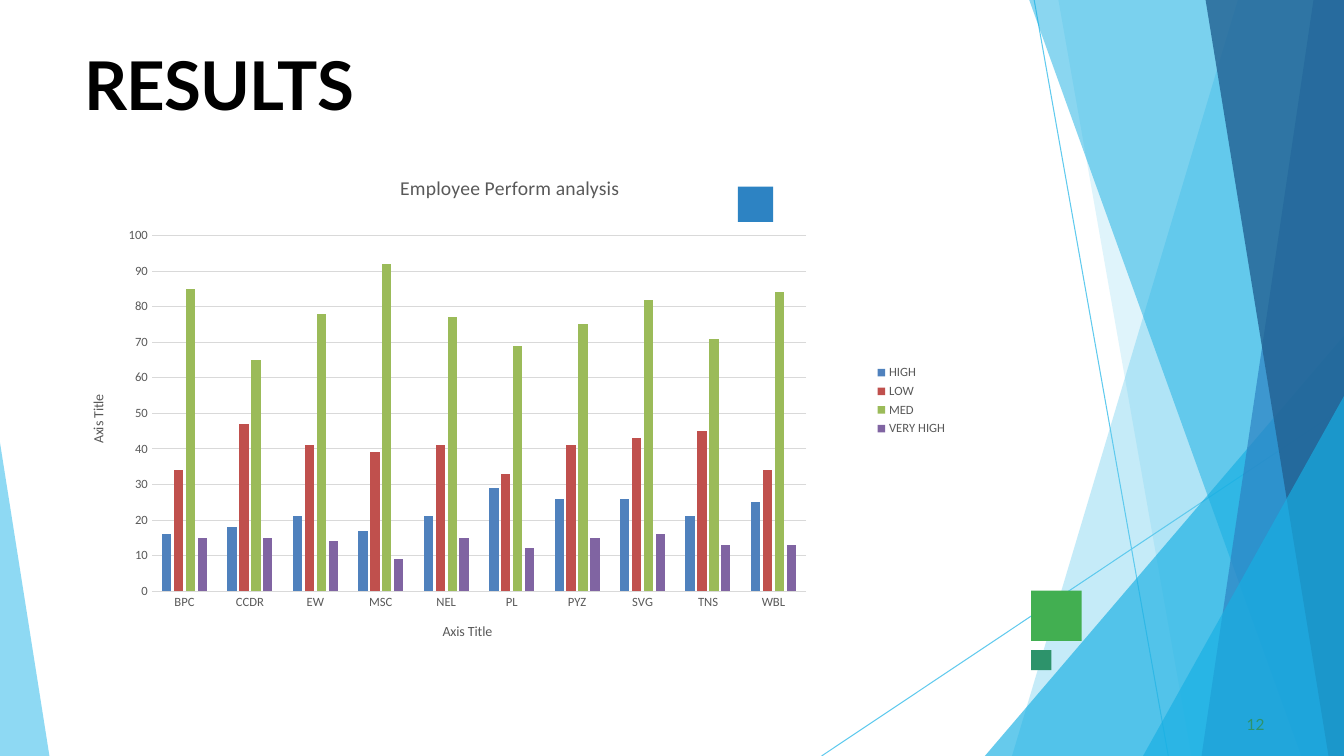
"""Build the results slide: a clustered column chart beside layered blue facets."""
import pptx
import pptx.chart.data
import pptx.dml.color
import pptx.enum.chart
import pptx.enum.text
import pptx.oxml
import pptx.oxml.ns
import pptx.util

qn = pptx.oxml.ns.qn
Pt = pptx.util.Pt
deck = pptx.Presentation()
deck.slide_width = pptx.util.Inches(13.33)
deck.slide_height = pptx.util.Inches(7.5)
slide = deck.slides.add_slide(deck.slide_layouts[6])
column, row = deck.slide_width / 100, deck.slide_height / 100


def paint(target, colour, alpha=100):
    """Give a fill or line format a solid colour and an opacity in percent."""
    fill = target if hasattr(target, "solid") else target.fill
    fill.solid()
    fill.fore_color.rgb = pptx.dml.color.RGBColor.from_string(colour)
    if alpha < 100:
        tint = target._xPr.find(qn("a:solidFill"))[0]
        tint.append(tint.makeelement(qn("a:alpha"), {"val": str(alpha * 1000)}))


def write(frame, text, size, colour, font="Calibri", bold=False, before=0, spacing=0):
    """Write one formatted run into a text frame."""
    paragraph = frame.paragraphs[0]
    paragraph.space_before = Pt(before)
    run = paragraph.add_run()
    run.text = text
    run.font.size, run.font.name, run.font.bold = Pt(size), font, bold
    paint(run.font.fill, colour)
    if spacing:
        run.font._element.set("spc", str(round(spacing * 100)))


rays = [((76.95, 0), (86.93, 100)), ((100, 53.87), (61.13, 100))]
for start, end in rays:
    ray = slide.shapes.add_connector(
        pptx.enum.shapes.MSO_CONNECTOR.STRAIGHT,
        round(start[0] * column), round(start[1] * row),
        round(end[0] * column), round(end[1] * row))
    paint(ray.line, "5FCAEE")
    ray.line.width = Pt(0.75)
    ray._element.spPr.append(pptx.oxml.parse_xml(
        f'<a:effectLst {pptx.oxml.ns.nsdecls("a")}/>'))

facets = [
    ("5FCAEE", 36, [(100, 0), (92.1, 0), (75.3, 100), (100, 100)]),
    ("5FCAEE", 20, [(100, 0), (78.75, 0), (88.65, 100), (100, 100)]),
    ("17AFE3", 66, [(100, 44.4), (73.28, 100), (100, 100)]),
    ("17AFE3", 50, [(100, 0), (76.58, 0), (96.83, 100), (100, 100)]),
    ("2D83C3", 70, [(100, 0), (97.73, 0), (89.4, 100), (100, 100)]),
    ("226192", 80, [(100, 0), (89.7, 0), (98.85, 100), (100, 100)]),
    ("17AFE3", 66, [(100, 52.4), (85.05, 100), (100, 100)]),
    ("5FCAEE", 70, [(0, 58.53), (0, 100), (3.68, 100)]),
]
for colour, alpha, corners in facets:
    points = [(round(x * column), round(y * row)) for x, y in corners]
    outline = slide.shapes.build_freeform(*points[0])
    outline.add_line_segments(points[1:], close=True)
    facet = outline.convert_to_shape()
    facet.shadow.inherit = False
    paint(facet.fill, colour, alpha)
    facet.line.fill.background()

squares = [("42AF51", 76.73, 78.13, 0.5), ("2D83C3", 54.9, 24.67, 0.35),
           ("2D936B", 76.73, 86, 0.2)]
for colour, x, y, side in squares:
    square = slide.shapes.add_shape(
        pptx.enum.shapes.MSO_SHAPE.RECTANGLE, round(x * column), round(y * row),
        pptx.util.Inches(side), pptx.util.Inches(side))
    square.shadow.inherit = False
    paint(square.fill, colour)
    square.line.fill.background()

labels = [
    ("RESULTS", (6.3, 5.6, 87.6, 11.07),
     dict(size=48, colour="000000", bold=True, before=1.1, spacing=-0.6)),
    ("12", (92.75, 94.4, 1.9, 2.8),
     dict(size=11, colour="2D936B", before=0.6, spacing=0.1)),
]
for text, (x, y, width, height), style in labels:
    frame = slide.shapes.add_textbox(
        round(x * column), round(y * row),
        round(width * column), round(height * row)).text_frame
    frame.margin_left = frame.margin_right = frame.margin_bottom = 0
    frame.margin_top = pptx.util.Inches(0.01)
    frame.word_wrap = True
    write(frame, text, font="Lato", **style)

levels = {
    "HIGH": ("4F81BD", [16, 18, 21, 17, 21, 29, 26, 26, 21, 25]),
    "LOW": ("C0504D", [34, 47, 41, 39, 41, 33, 41, 43, 45, 34]),
    "MED": ("9BBB59", [85, 65, 78, 92, 77, 69, 75, 82, 71, 84]),
    "VERY HIGH": ("8064A2", [15, 15, 14, 9, 15, 12, 15, 16, 13, 13]),
}
performance = pptx.chart.data.CategoryChartData()
performance.categories = ["BPC", "CCDR", "EW", "MSC", "NEL",
                          "PL", "PYZ", "SVG", "TNS", "WBL"]
for level, (colour, counts) in levels.items():
    performance.add_series(level, counts)
chart = slide.shapes.add_chart(
    pptx.enum.chart.XL_CHART_TYPE.COLUMN_CLUSTERED,
    round(5 * column), round(20 * row), round(66.25 * column), round(66 * row),
    performance).chart
chart.font.size, chart.font.name = Pt(10), "Calibri"
write(chart.chart_title.text_frame, "Employee Perform analysis", 14, "595959")
chart.chart_title.include_in_layout = False

columns = chart.plots[0]
columns.gap_width, columns.overlap = 219, -27
columns.vary_by_categories = False
for series, (colour, counts) in zip(columns.series, levels.values()):
    paint(series.format.fill, colour)
    series.invert_if_negative = False

chart.has_legend = True
chart.legend.position = pptx.enum.chart.XL_LEGEND_POSITION.RIGHT
chart.legend.include_in_layout = False
for axis in (chart.category_axis, chart.value_axis):
    axis.major_tick_mark = axis.minor_tick_mark = pptx.enum.chart.XL_TICK_MARK.NONE
    write(axis.axis_title.text_frame, "Axis Title", 10, "595959")
for part in (chart.category_axis.tick_labels, chart.value_axis.tick_labels, chart.legend):
    part.font.size, part.font.name = Pt(9), "Calibri"
    paint(part.font.fill, "595959")

scale = chart.value_axis
scale.minimum_scale, scale.maximum_scale, scale.major_unit = 0, 100, 10
scale.format.line.fill.background()
turned = scale.axis_title.text_frame._txBody.find(qn("a:bodyPr"))
turned.set("rot", "-5400000")
turned.set("vert", "horz")
for rule in (scale.major_gridlines.format.line, chart.category_axis.format.line):
    paint(rule, "D9D9D9")
    rule.width = Pt(0.75)

placements = [
    (chart._chartSpace.chart.plotArea, dict(
        layoutTarget="inner", xMode="edge", yMode="edge",
        x=0.095, y=0.169, w=0.735, h=0.713)),
    (chart.chart_title._element, dict(xMode="edge", yMode="edge", x=0.37, y=0.04)),
]
for holder, settings in placements:
    for old in holder.findall(qn("c:layout")):
        holder.remove(old)
    entries = "".join(f'<c:{key} val="{value}"/>' for key, value in settings.items())
    layout = pptx.oxml.parse_xml(
        f'<c:layout {pptx.oxml.ns.nsdecls("c")}>'
        f"<c:manualLayout>{entries}</c:manualLayout></c:layout>")
    words = holder.find(qn("c:tx"))
    holder.insert(0 if words is None else 1, layout)

deck.save("out.pptx")
